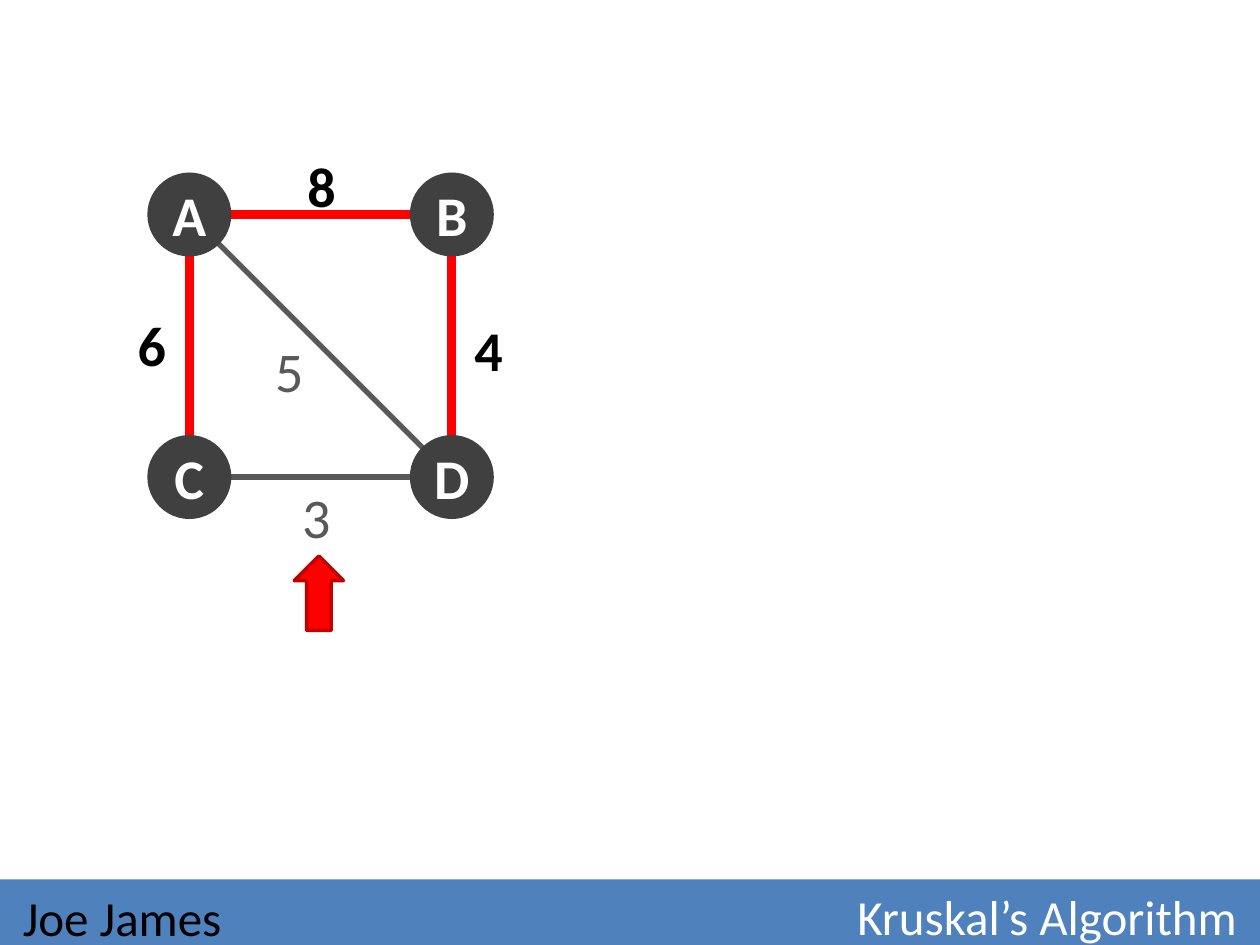
from lxml import etree
from pptx import Presentation
from pptx.dml.color import RGBColor
from pptx.enum.shapes import MSO_CONNECTOR, MSO_SHAPE
from pptx.enum.text import MSO_ANCHOR, MSO_AUTO_SIZE, PP_ALIGN
from pptx.oxml.ns import qn
from pptx.util import Pt

STRAIGHT = MSO_CONNECTOR.STRAIGHT
RECTANGLE, OVAL, ARROW = MSO_SHAPE.RECTANGLE, MSO_SHAPE.OVAL, MSO_SHAPE.RIGHT_ARROW
LEFT, CENTER, RIGHT = PP_ALIGN.LEFT, PP_ALIGN.CENTER, PP_ALIGN.RIGHT
TOP, MIDDLE = MSO_ANCHOR.TOP, MSO_ANCHOR.MIDDLE

COLORS = {
    "bar": "4F81BD", "node": "404040", "plain": "595959", "chosen": "FF0000",
    "outline": "C00000", "black": "000000", "white": "FFFFFF",
}


def color(name):
    return RGBColor.from_string(COLORS[name])


def write(shape, text, size, color_name, bold=False, align=LEFT, anchor=TOP, **frame_format):
    frame = shape.text_frame
    frame_format = {"auto_size": MSO_AUTO_SIZE.NONE, "word_wrap": True,
                    "vertical_anchor": anchor, **frame_format}
    for name, value in frame_format.items():
        setattr(frame, name, value)
    paragraph = frame.paragraphs[0]
    paragraph.alignment = align
    run = paragraph.add_run()
    run.text = text
    for name, value in {"name": "Calibri", "size": Pt(size), "bold": bold}.items():
        setattr(run.font, name, value)
    run.font.color.rgb = color(color_name)


presentation = Presentation()
presentation.slide_width, presentation.slide_height = Pt(720), Pt(540)
slide = presentation.slides.add_slide(presentation.slide_layouts[5])
shapes = slide.shapes

# Footer bar with title and author
BAR_TOP = 502.5
title = shapes.title
bar = shapes.add_shape(RECTANGLE, Pt(0), Pt(BAR_TOP), Pt(720), Pt(37.5))
bar.shadow.inherit = False
bar.fill.solid()
bar.fill.fore_color.rgb = color("bar")
bar.line.fill.background()
title.element.addprevious(bar.element)  # the bar lies behind the title

for name, value in {"left": 216, "top": BAR_TOP, "width": 498, "height": 42}.items():
    setattr(title, name, Pt(value))
write(title, "Kruskal’s Algorithm", 28, "white", align=RIGHT, anchor=MIDDLE)
author = shapes.add_textbox(Pt(6), Pt(BAR_TOP), Pt(210), Pt(43))
write(author, "Joe James", 28, "black", anchor=MIDDLE)

# Node centres on a square
X, Y, SIDE, DIAMETER = 108.2, 122.6, 150, 48
centers = {
    label: (X + index % 2 * SIDE, Y + index // 2 * SIDE)
    for index, label in enumerate("ABCD")
}

# Edges: from, to, weight, chosen, left and top of the weight
edges = [
    ("A", "B", "8", True, 168.5, 83),
    ("B", "D", "4", True, 264, 176.5),
    ("A", "D", "5", False, 150.5, 188.5),
    ("A", "C", "6", True, 71.5, 174),
    ("C", "D", "3", False, 165.5, 272),
]
for start, end, weight, chosen, left, top in edges:
    points = [Pt(value) for value in centers[start] + centers[end]]
    edge = shapes.add_connector(STRAIGHT, *points)
    edge.line.color.rgb = color("chosen" if chosen else "plain")
    edge.line.width = Pt(5 if chosen else 3)
    properties = edge.element.find(qn("p:spPr"))
    etree.SubElement(properties, qn("a:effectLst"))

# Nodes
for label, (x, y) in centers.items():
    node = shapes.add_shape(OVAL, Pt(x - DIAMETER / 2), Pt(y - DIAMETER / 2),
                            Pt(DIAMETER), Pt(DIAMETER))
    node.shadow.inherit = False
    node.fill.solid()
    node.fill.fore_color.rgb = color("node")
    node.line.fill.background()
    write(node, label, 32, "white", bold=True, align=CENTER, anchor=MIDDLE,
          word_wrap=False, margin_left=0, margin_right=0, margin_top=0, margin_bottom=0)

# Edge weights
for start, end, weight, chosen, left, top in edges:
    box = shapes.add_textbox(Pt(left), Pt(top), Pt(70.5), Pt(46))
    write(box, weight, 32, "black" if chosen else "plain", bold=chosen)

# Arrow pointing up at the edge under test
pointer = shapes.add_shape(ARROW, Pt(161), Pt(325), Pt(42.5), Pt(28))
pointer.rotation = 270
pointer.shadow.inherit = False
pointer.fill.solid()
pointer.fill.fore_color.rgb = color("chosen")
pointer.line.color.rgb = color("outline")
pointer.line.width = Pt(2)

presentation.save("out.pptx")
